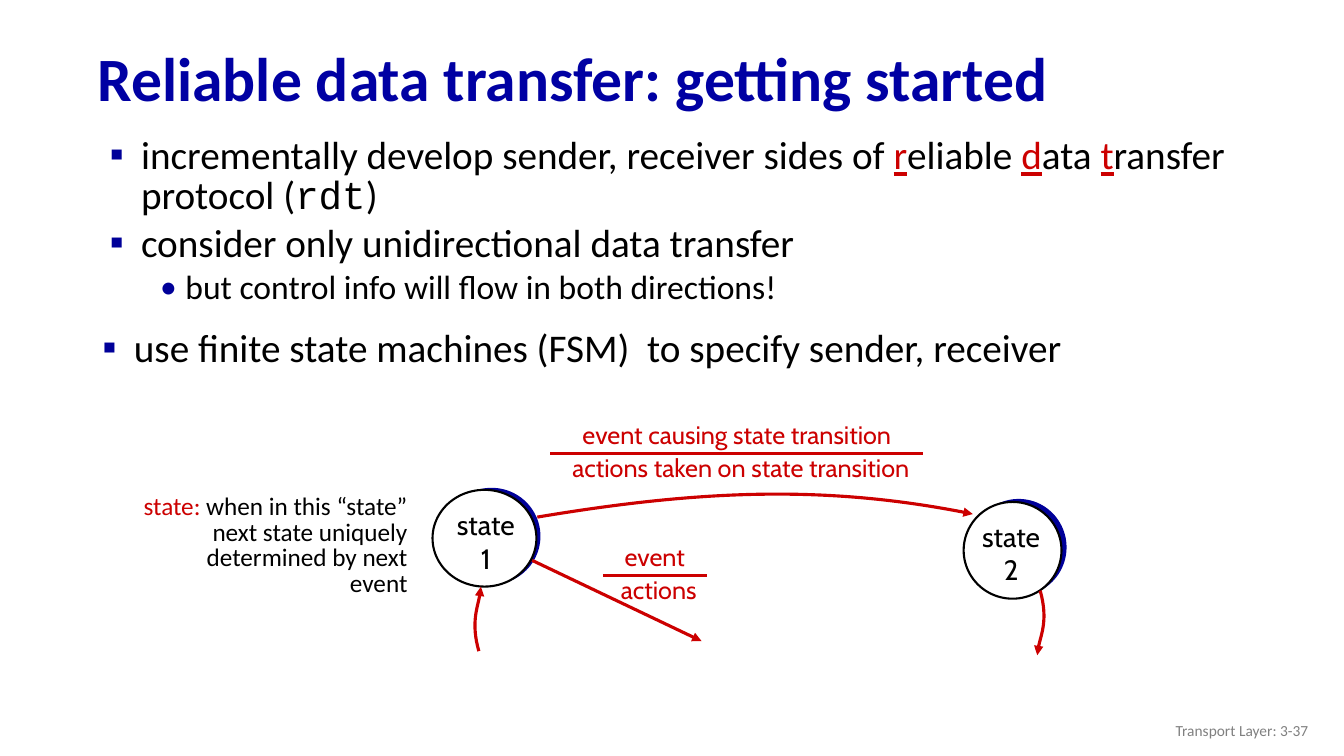
from collections import namedtuple

from lxml.etree import SubElement
from pptx import Presentation
from pptx.dml.color import RGBColor
from pptx.enum.shapes import MSO_CONNECTOR, MSO_SHAPE
from pptx.enum.text import MSO_ANCHOR, PP_ALIGN
from pptx.oxml.ns import qn
from pptx.util import Inches, Pt

TITLE_BLUE = RGBColor(0x00, 0x00, 0xA3)
BLUE = RGBColor(0x00, 0x00, 0x99)
RED = RGBColor(0xCC, 0x00, 0x00)
BLACK = RGBColor(0x00, 0x00, 0x00)
WHITE = RGBColor(0xFF, 0xFF, 0xFF)
GRAY = RGBColor(0x80, 0x80, 0x80)

# The slide is a grid of 100 columns by 100 rows.
SLIDE_W, SLIDE_H = Inches(13.33), Inches(7.5)
COL, ROW = SLIDE_W / 100, SLIDE_H / 100

Box = namedtuple("Box", "x y w h")

BODY = {"size": Pt(28), "name": "Calibri", "color": BLACK}
SUB = {**BODY, "size": Pt(24)}
INITIAL = {**BODY, "color": RED, "underline": True}
CODE = {**BODY, "name": "Courier New"}
NOTE = {**BODY, "size": Pt(18)}
STATE = {"size": Pt(20), "name": "Cabin", "color": BLACK}
TRANSITION = {"size": Pt(18), "name": "Cabin", "color": RED}


def emu(box):
    return [round(v * unit) for v, unit in zip(box, (COL, ROW, COL, ROW))]


def add_text(slide, box, wrap=True, anchor=MSO_ANCHOR.TOP):
    frame = slide.shapes.add_textbox(*emu(box)).text_frame
    frame.word_wrap = wrap
    frame.vertical_anchor = anchor
    return frame


def add_paragraph(frame, runs, bullet=None, indent=None, **layout):
    """Fill the first empty paragraph or a new one with (text, format) runs."""
    first = frame.paragraphs[0]
    paragraph = frame.add_paragraph() if first.runs else first
    props = paragraph._p.get_or_add_pPr()
    if indent:
        left, hanging = indent
        props.set("marL", str(Inches(left)))
        props.set("indent", str(-Inches(hanging)))
    if bullet:
        color = SubElement(props, qn("a:buClr"))
        SubElement(color, qn("a:srgbClr")).set("val", str(BLUE))
        SubElement(props, qn("a:buFont")).set("typeface", "Calibri")
        SubElement(props, qn("a:buChar")).set("char", bullet)
    for key, value in layout.items():
        setattr(paragraph, key, value)
    for text, style in runs:
        run = paragraph.add_run()
        run.text = text
        for key, value in style.items():
            if key == "color":
                run.font.color.rgb = value
            else:
                setattr(run.font, key, value)


def add_bullet(frame, *runs, **layout):
    add_paragraph(frame, runs, bullet="▪", indent=(0.31, 0.31),
                  line_spacing=0.85, **layout)


def style_stroke(line, arrow):
    line.color.rgb = RED
    line.width = Pt(2.25)
    if arrow:
        SubElement(line._get_or_add_ln(), qn("a:tailEnd")).set("type", "triangle")


def add_line(slide, x1, y1, x2, y2, arrow=False):
    start_x, start_y, end_x, end_y = emu((x1, y1, x2, y2))
    connector = slide.shapes.add_connector(
        MSO_CONNECTOR.STRAIGHT, start_x, start_y, end_x, end_y)
    style_stroke(connector.line, arrow)
    SubElement(connector._element.spPr, qn("a:effectLst"))


def add_curved_arrow(slide, region, points):
    """Draw one cubic curve through start, two controls and end."""
    start, *rest = [(round((region.x + x) * COL), round((region.y + y) * ROW))
                    for x, y in points]
    builder = slide.shapes.build_freeform(*start)
    builder.add_line_segments(rest, close=False)
    arrow = builder.convert_to_shape()
    outline = arrow._element.spPr.find(".//" + qn("a:path"))
    curve = SubElement(outline, qn("a:cubicBezTo"))
    for segment in outline.findall(qn("a:lnTo")):
        curve.append(segment[0])
        outline.remove(segment)
    arrow.fill.background()
    arrow.shadow.inherit = False
    style_stroke(arrow.line, True)


def add_disc(slide, box, color):
    disc = slide.shapes.add_shape(MSO_SHAPE.OVAL, *emu(box))
    disc.shadow.inherit = False
    disc.fill.solid()
    disc.fill.fore_color.rgb = color
    return disc


def add_state(slide, box, number, backing, label):
    """backing is (dx, dy, width) of the blue disc, label is (dx, dy)."""
    dx, dy, width = backing
    add_disc(slide, Box(box.x + dx, box.y + dy, width, box.h), BLUE).line.fill.background()
    face = add_disc(slide, box, WHITE)
    face.line.color.rgb = BLACK
    face.line.width = Pt(1.5)
    frame = add_text(slide, Box(box.x + label[0], box.y + label[1], 6, 10.27))
    for text in ("state", number):
        add_paragraph(frame, [(text, STATE)], alignment=PP_ALIGN.CENTER)


def add_transition(slide, x, y, width, event, actions):
    """Write the event above a rule and the actions below it."""
    for text, dx, dy in ((event, 0, -5.13), (actions, 0.3, -0.8)):
        frame = add_text(slide, Box(x + dx, y + dy, width, 5.33), wrap=False)
        add_paragraph(frame, [(text, TRANSITION)], alignment=PP_ALIGN.CENTER)
    add_line(slide, x, y, x + width, y)


def add_title(slide, box):
    frame = add_text(slide, box, anchor=MSO_ANCHOR.MIDDLE)
    style = {"size": Pt(44), "name": "Calibri", "bold": True, "color": TITLE_BLUE}
    add_paragraph(frame, [("Reliable data transfer: getting started", style)],
                  line_spacing=0.9)


def add_goals(slide, box):
    frame = add_text(slide, box)
    add_bullet(frame, ("incrementally develop sender, receiver sides of ", BODY),
               ("r", INITIAL), ("eliable ", BODY), ("d", INITIAL), ("ata ", BODY),
               ("t", INITIAL), ("ransfer protocol (", BODY), ("rdt", CODE), (")", BODY))
    add_bullet(frame, ("consider only unidirectional data transfer", BODY),
               space_before=Pt(5.6))
    add_paragraph(frame, [("but control info will flow in both directions!", SUB)],
                  bullet="•", indent=(0.75, 0.25), level=1,
                  line_spacing=0.85, space_before=Pt(4.8))
    machines = add_text(slide, Box(box.x - 0.53, box.y + 25.47, box.w, 7.87))
    add_bullet(machines,
               ("use finite state machines (FSM)  to specify sender, receiver", BODY))


def add_state_machine(slide, box):
    add_state(slide, Box(box.x + 24.18, box.y + 10.8, 7.73, 12.8), "1",
              (0.75, -0.27, 7.28), (0.97, 1.73))
    add_state(slide, Box(box.x + 63.7, box.y + 12.4, 7.28, 12.8), "2",
              (0.53, -0.4, 7.13), (0.53, 1.6))
    for points in (
        [(31.98, 14.4), (44.05, 10.8), (53.73, 10.13), (64.38, 14)],
        [(27.63, 32.13), (27.03, 28.4), (27.78, 24.93), (27.78, 23.6)],
        [(69.4, 24.13), (70, 28), (69.18, 31.33), (69.18, 32.67)],
    ):
        add_curved_arrow(slide, box, points)
    add_line(slide, box.x + 31.6, box.y + 20.13, box.x + 44.2, box.y + 30.8, arrow=True)
    add_transition(slide, box.x + 32.95, box.y + 6, 27.75,
                   "event causing state transition", "actions taken on state transition")
    add_transition(slide, box.x + 36.85, box.y + 22.13, 7.73, "event", "actions")
    note = add_text(slide, Box(box.x + 0.33, box.y + 10.8, 22.73, 18))
    add_paragraph(note, [
        ("state:", {**NOTE, "color": RED}),
        (" when in this “state” next state uniquely determined by next event", NOTE),
    ], indent=(0.38, 0.38), alignment=PP_ALIGN.RIGHT, line_spacing=0.85)


def add_footer(slide, box):
    frame = add_text(slide, box, anchor=MSO_ANCHOR.MIDDLE)
    style = {"size": Pt(11), "name": "Calibri", "color": GRAY}
    add_paragraph(frame, [("Transport Layer: 3-37", style)], alignment=PP_ALIGN.RIGHT)


def main():
    deck = Presentation()
    deck.slide_width, deck.slide_height = SLIDE_W, SLIDE_H
    slide = deck.slides.add_slide(deck.slide_layouts[6])
    add_title(slide, Box(6.53, 4.27, 91.05, 13.07))
    add_goals(slide, Box(7.43, 17.6, 90.68, 35.33))
    add_state_machine(slide, Box(8, 54, 71, 34))
    add_footer(slide, Box(75.6, 94, 22.5, 5.33))
    deck.save("out.pptx")


if __name__ == "__main__":
    main()
